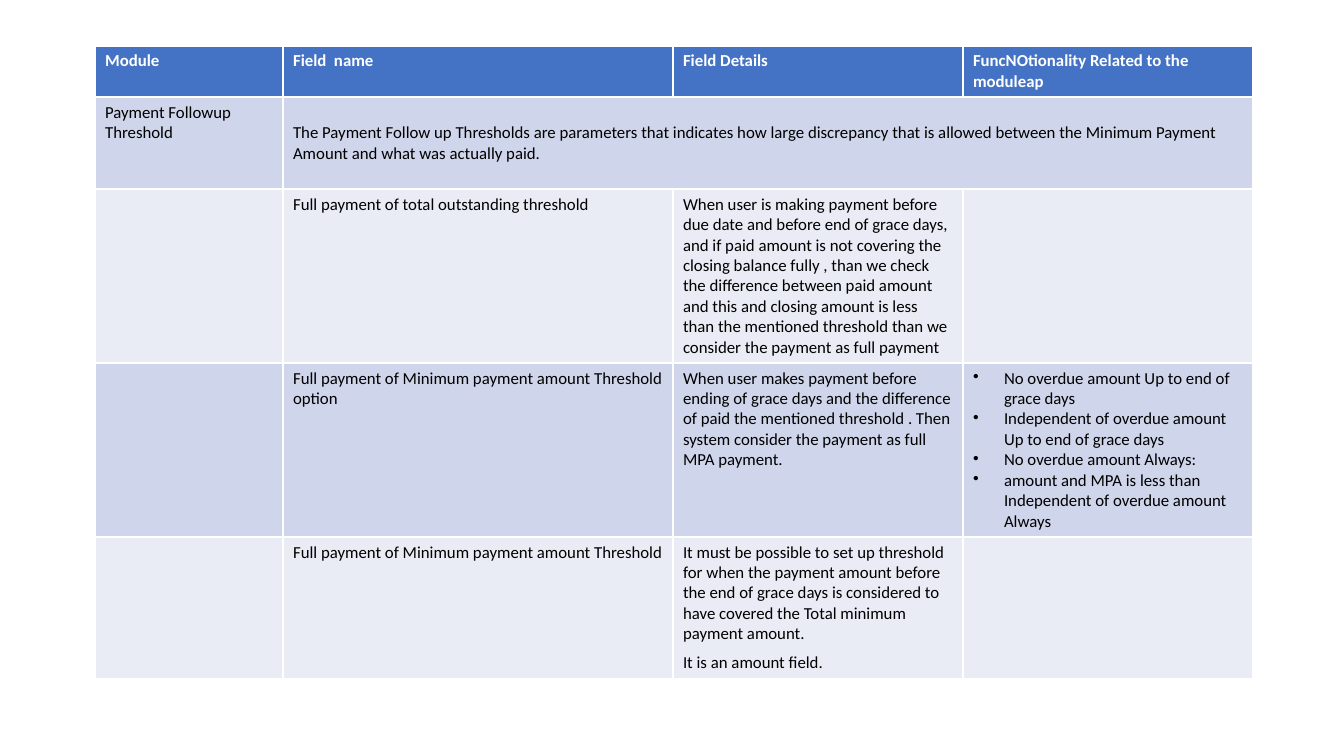
"""Build a slide with the table of payment follow-up thresholds."""
import dataclasses

import lxml.etree
import pptx
import pptx.dml.color
import pptx.enum.text
import pptx.oxml.ns
import pptx.table
import pptx.text.text
import pptx.util

PX = 914400 / 100.8
BLUE = pptx.dml.color.RGBColor(0x44, 0x72, 0xC4)
DARK = pptx.dml.color.RGBColor(0xCF, 0xD5, 0xEA)
LIGHT = pptx.dml.color.RGBColor(0xE9, 0xEB, 0xF5)
WHITE = pptx.dml.color.RGBColor(0xFF, 0xFF, 0xFF)
BLACK = pptx.dml.color.RGBColor(0x00, 0x00, 0x00)
LEFT, TOP = 95, 46
WIDTHS = [188, 390, 290, 290]
INDENT = 31


@dataclasses.dataclass
class Row:
    """A table row, with each cell given as a list of paragraphs."""
    height: int
    fill: pptx.dml.color.RGBColor
    cells: list[list[str]]
    ink: pptx.dml.color.RGBColor = BLACK
    bold: bool = False


ROWS = [
    Row(51, BLUE, [
        ["Module"],
        ["Field  name"],
        ["Field Details"],
        ["FuncNOtionality Related to the moduleap"],
    ], WHITE, True),
    Row(92, DARK, [
        ["Payment Followup Threshold"],
        ["The Payment Follow up Thresholds are parameters that indicates how "
         "large discrepancy that is allowed between the Minimum Payment Amount "
         "and what was actually paid."],
    ]),
    Row(174, LIGHT, [
        [],
        ["Full payment of total outstanding threshold"],
        ["When user is making payment before due date and before end of grace "
         "days, and if paid amount is not covering the closing balance fully , "
         "than we check the difference between paid amount and this and closing "
         "amount is less than the mentioned threshold than we consider the "
         "payment as full payment"],
        [],
    ]),
    Row(174, DARK, [
        [],
        ["Full payment of Minimum payment amount Threshold option"],
        ["When user makes payment before ending of grace days and the difference "
         "of paid the mentioned threshold . Then system consider the payment as "
         "full MPA payment."],
        ["No overdue amount Up to end of grace days",
         "Independent of overdue amount Up to end of grace days",
         "No overdue amount Always:",
         "amount and MPA is less than Independent of overdue amount Always"],
    ]),
    Row(142, LIGHT, [
        [],
        ["Full payment of Minimum payment amount Threshold"],
        ["It must be possible to set up threshold for when the payment amount "
         "before the end of grace days is considered to have covered the Total "
         "minimum payment amount.",
         "It is an amount field."],
        [],
    ]),
]


def emu(px: int) -> pptx.util.Emu:
    """Turn px into EMU."""
    return pptx.util.Emu(round(px * PX))


def add_bullet(para: pptx.text.text._Paragraph) -> None:
    """Give a paragraph a hanging bullet."""
    props = para._p.get_or_add_pPr()
    props.set("marL", str(emu(INDENT)))
    props.set("indent", str(-emu(INDENT)))
    tag = pptx.oxml.ns.qn("a:buChar")
    lxml.etree.SubElement(props, tag).set("char", "•")


def fill_cell(cell: pptx.table._Cell, row: Row, lines: list[str], list_cell: bool) -> None:
    """Colour a cell and write its paragraphs."""
    cell.fill.solid()
    cell.fill.fore_color.rgb = row.fill
    frame = cell.text_frame
    frame.text = "\n".join(lines)
    for spot, para in enumerate(frame.paragraphs):
        if list_cell:
            add_bullet(para)
        elif spot:
            para.space_before = pptx.util.Pt(6)
        para.font.name = "Calibri"
        para.font.size = pptx.util.Pt(12)
        para.font.bold = row.bold
        para.font.color.rgb = row.ink


def add_grid(slide: pptx.slide.Slide) -> None:
    """Draw the threshold table."""
    high = sum(row.height for row in ROWS)
    grid = slide.shapes.add_table(
        len(ROWS), len(WIDTHS), emu(LEFT), emu(TOP), emu(sum(WIDTHS)), emu(high)
    ).table
    for column, width in zip(grid.columns, WIDTHS):
        column.width = emu(width)
    last = len(WIDTHS) - 1
    for down, row in enumerate(ROWS):
        grid.rows[down].height = emu(row.height)
        for across, lines in enumerate(row.cells):
            list_cell = across == last and len(lines) > 1
            fill_cell(grid.cell(down, across), row, lines, list_cell)
        end = len(row.cells) - 1
        if end < last:
            wide = grid.cell(down, end)
            wide.merge(grid.cell(down, last))
            wide.vertical_anchor = pptx.enum.text.MSO_ANCHOR.MIDDLE


def main() -> None:
    """Make and save the deck."""
    deck = pptx.Presentation()
    deck.slide_width = emu(1344)
    deck.slide_height = emu(756)
    add_grid(deck.slides.add_slide(deck.slide_layouts[6]))
    deck.save("out.pptx")


if __name__ == "__main__":
    main()
